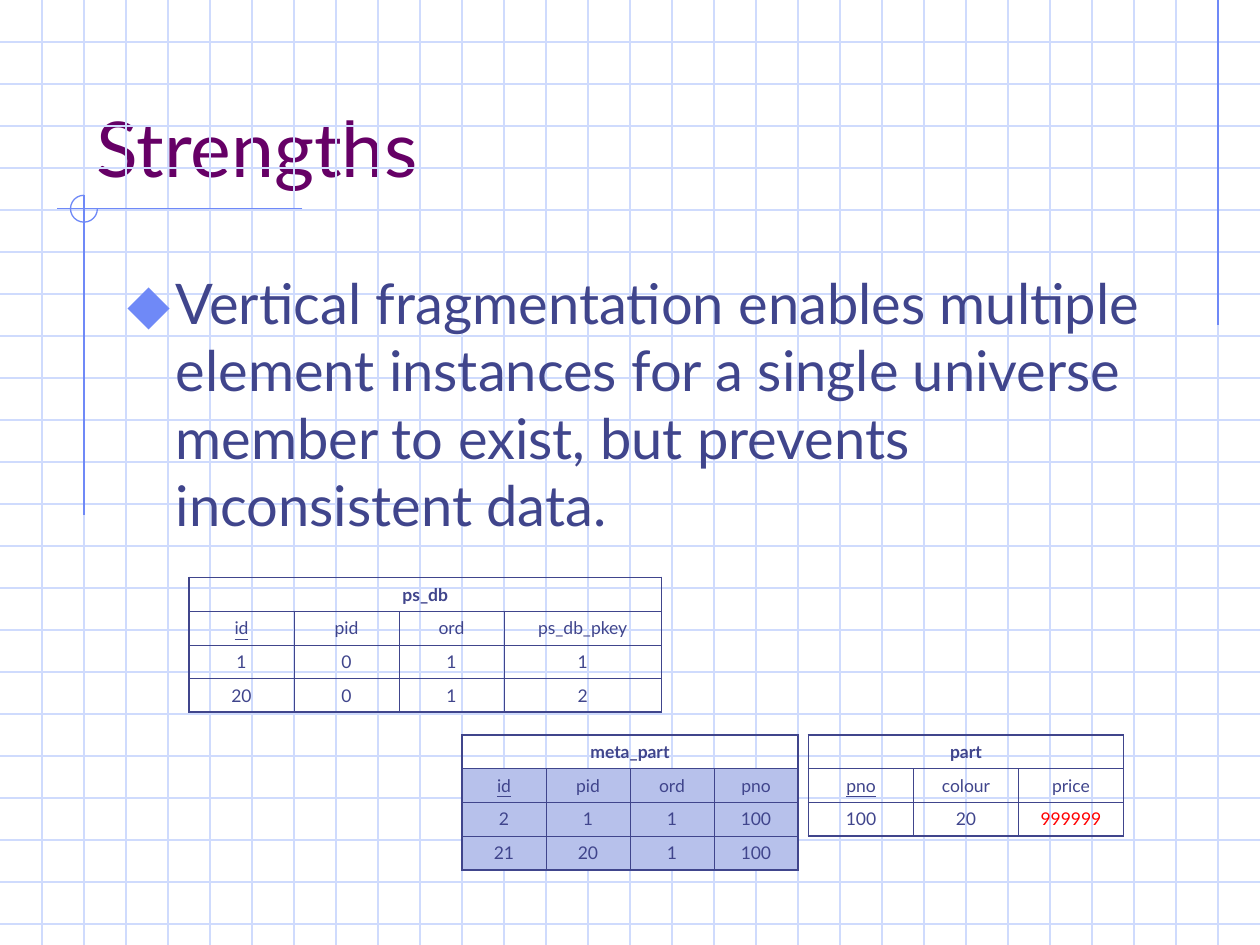
from lxml import etree
from pptx import Presentation
from pptx.dml.color import RGBColor
from pptx.enum.shapes import MSO_CONNECTOR, MSO_SHAPE
from pptx.enum.text import MSO_ANCHOR, PP_ALIGN
from pptx.oxml.ns import qn
from pptx.util import Inches, Pt

LEFT, CENTER = PP_ALIGN.LEFT, PP_ALIGN.CENTER
TOP, BOTTOM = MSO_ANCHOR.TOP, MSO_ANCHOR.BOTTOM
STRAIGHT, ARC = MSO_CONNECTOR.STRAIGHT, MSO_SHAPE.ARC

FONT = "Lato"
COLORS = {
    "paper": "FFFFFF",
    "grid": "CFDBFD",
    "accent": "6F89F7",
    "title": "660066",
    "text": "40458C",
    "shade": "B7C1EB",
    "alert": "FF0000",
}
COLUMNS, ROWS = 30, 22.5  # squares of the paper, a third of an inch each
TABLE_ROW = 0.8
OUTER, INNER = 1.08, 0.45


def squares(count):
    return Inches(count / 3)


def color(name):
    return RGBColor.from_string(COLORS[name])


class SlideBuilder:
    """Draws on one slide; all lengths are squares of the paper grid."""

    def __init__(self, presentation):
        self.slide = presentation.slides.add_slide(presentation.slide_layouts[5])
        background = self.slide.background.fill
        background.solid()
        background.fore_color.rgb = color("paper")

    def style(self, paragraph, size, tone, align=LEFT, bold=False, underline=False):
        paragraph.alignment = align
        for run in paragraph.runs:
            font = run.font
            font.name, font.size = FONT, Pt(size)
            font.bold, font.underline = bold, underline
            font.color.rgb = color(tone)

    def line(self, x1, y1, x2, y2, tone):
        connector = self.slide.shapes.add_connector(
            STRAIGHT, squares(x1), squares(y1), squares(x2), squares(y2))
        connector.line.color.rgb = color(tone)
        connector.line.width = Pt(0.75)
        etree.SubElement(connector._element.spPr, qn("a:effectLst"))

    def ring(self, x, y, radius):
        """Three quarters of a circle, open at the upper right."""
        shape = self.slide.shapes.add_shape(
            ARC, squares(x - radius), squares(y - radius),
            squares(2 * radius), squares(2 * radius))
        shape.adjustments[0], shape.adjustments[1] = 0, 162
        shape.shadow.inherit = False
        shape.fill.background()
        shape.line.color.rgb = color("accent")
        shape.line.width = Pt(0.75)

    def title(self, text, x, y, width, height):
        shape = self.slide.shapes.title
        shape.left, shape.top = squares(x), squares(y)
        shape.width, shape.height = squares(width), squares(height)
        frame = shape.text_frame
        frame.text = text
        frame.vertical_anchor = BOTTOM
        self.style(frame.paragraphs[0], 44, "title")

    def bullet(self, text, x, y, width, height):
        frame = self.slide.shapes.add_textbox(
            squares(x), squares(y), squares(width), squares(height)).text_frame
        frame.word_wrap = True
        frame.vertical_anchor = TOP
        frame.text = text
        paragraph = frame.paragraphs[0]
        properties = paragraph._p.get_or_add_pPr()
        properties.set("marL", str(Inches(0.38)))
        properties.set("indent", str(Inches(-0.38)))
        bullet_color = etree.SubElement(properties, qn("a:buClr"))
        etree.SubElement(bullet_color, qn("a:srgbClr"), val=COLORS["accent"])
        etree.SubElement(properties, qn("a:buSzPct"), val="110000")
        etree.SubElement(properties, qn("a:buFont"), typeface=FONT)
        etree.SubElement(properties, qn("a:buChar"), char="⬥")
        self.style(paragraph, 32, "text")

    def borders(self, cell, widths):
        properties = cell._tc.get_or_add_tcPr()
        for side, width in zip("LRTB", widths):
            border = etree.SubElement(properties, qn(f"a:ln{side}"), w=str(Pt(width)))
            fill = etree.SubElement(border, qn("a:solidFill"))
            etree.SubElement(fill, qn("a:srgbClr"), val=COLORS["text"])

    def table(self, name, records, x, y, widths, shade=None, alert=None):
        """A merged name row, a heading row with its key underlined, and data."""
        last_column, last_row = len(widths) - 1, len(records)
        table = self.slide.shapes.add_table(
            last_row + 1, len(widths), squares(x), squares(y),
            squares(sum(widths)), squares(TABLE_ROW * (last_row + 1))).table
        table.first_row = table.horz_banding = False
        for column, width in zip(table.columns, widths):
            column.width = squares(width)
        table.cell(0, 0).merge(table.cell(0, last_column))

        name_row = [name] + [""] * last_column
        for r, record in enumerate([name_row] + records):
            table.rows[r].height = squares(TABLE_ROW)
            for c, value in enumerate(record):
                cell = table.cell(r, c)
                on_edge = (r == 0 or c == 0, r == 0 or c == last_column,
                           r == 0, r == last_row)
                self.borders(cell, [OUTER if edge else INNER for edge in on_edge])
                if shade and r > 0:
                    cell.fill.solid()
                    cell.fill.fore_color.rgb = color(shade)
                else:
                    cell.fill.background()
                cell.text_frame.text = value
                tone = "alert" if value == alert else "text"
                self.style(cell.text_frame.paragraphs[0], 10, tone, CENTER,
                           bold=r == 0, underline=(r, c) == (1, 0))


def main():
    presentation = Presentation()
    presentation.slide_width = squares(COLUMNS)
    presentation.slide_height = squares(ROWS)
    builder = SlideBuilder(presentation)

    # Squared paper
    for row in range(1, int(ROWS) + 1):
        builder.line(0, row, COLUMNS, row, "grid")
    for column in range(1, COLUMNS):
        builder.line(column, 0, column, ROWS, "grid")

    # Margin rules and ring
    builder.line(29, 0, 29, 7.75, "accent")
    builder.line(7.2, 4.97, 1.35, 4.97, "accent")
    builder.line(2, 4.65, 2, 12.27, "accent")
    builder.ring(2, 4.97, 0.32)

    # Title and statement
    builder.title("Strengths", 2, 1, 25.5, 3.75)
    builder.bullet(
        "Vertical fragmentation enables multiple element instances for a single "
        "universe member to exist, but prevents inconsistent data.",
        2.75, 6.25, 25.5, 13.5)

    # Example relations
    builder.table("ps_db", [["id", "pid", "ord", "ps_db_pkey"],
                            ["1", "0", "1", "1"],
                            ["20", "0", "1", "2"]],
                  4.5, 13.75, [2.5, 2.5, 2.5, 3.75])
    builder.table("part", [["pno", "colour", "price"],
                           ["100", "20", "999999"]],
                  19.25, 17.5, [2.5] * 3, alert="999999")
    builder.table("meta_part", [["id", "pid", "ord", "pno"],
                                ["2", "1", "1", "100"],
                                ["21", "20", "1", "100"]],
                  11, 17.5, [2] * 4, shade="shade")

    presentation.save("out.pptx")


if __name__ == "__main__":
    main()
